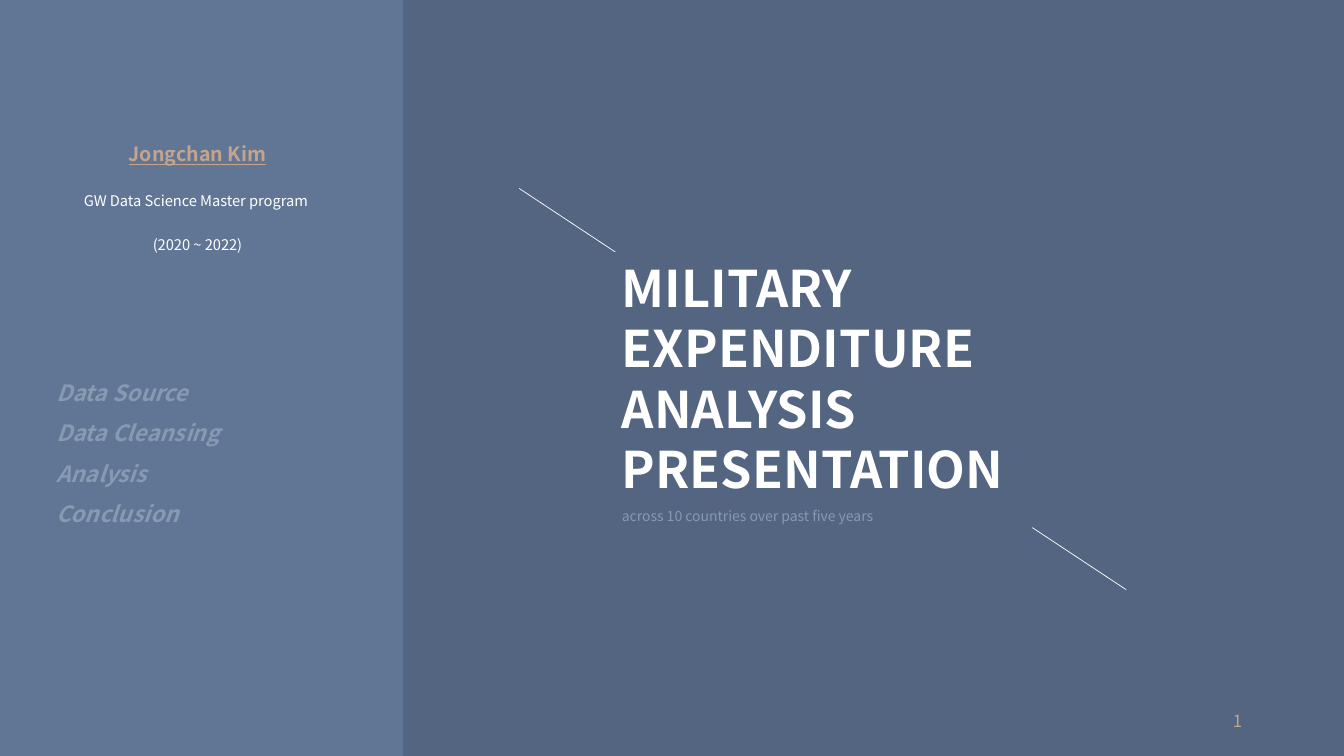
"""Build the title slide of a military expenditure analysis presentation."""
import pptx
import pptx.dml.color
import pptx.enum.shapes
import pptx.enum.text
import pptx.oxml
import pptx.oxml.ns
import pptx.util

PX = 9144
FONT = "Noto Sans CJK KR"
COLORS = {
    "panel": "617695",
    "ground": "536580",
    "white": "FFFFFF",
    "sand": "C5A48D",
    "mist": "8899B2",
}
ALIGN = pptx.enum.text.PP_ALIGN
ANCHOR = pptx.enum.text.MSO_ANCHOR
FIT = pptx.enum.text.MSO_AUTO_SIZE


def rgb(name):
    return pptx.dml.color.RGBColor.from_string(COLORS[name])


def write(box, lines, align, anchor=ANCHOR.TOP, fit=FIT.SHAPE_TO_FIT_TEXT):
    frame = box.text_frame
    frame.word_wrap = True
    frame.auto_size = fit
    frame.vertical_anchor = anchor
    for index, (text, spacing, color, size, style) in enumerate(lines):
        para = frame.paragraphs[0] if index == 0 else frame.add_paragraph()
        para.alignment = align
        para.line_spacing = spacing
        span = para.add_run()
        span.text = text
        span.font.color.rgb = rgb(color)
        values = {"name": FONT, "size": pptx.util.Pt(size), **style}
        for key, value in values.items():
            setattr(span.font, key, value)


deck = pptx.Presentation()
deck.slide_width = 1333 * PX
deck.slide_height = 750 * PX
page = deck.slides.add_slide(deck.slide_layouts[6])

backdrop = page.background.fill
backdrop.gradient()
backdrop.gradient_angle = 0
for stop, name in zip(backdrop.gradient_stops, ("panel", "ground")):
    stop.position = 0.3
    stop.color.rgb = rgb(name)

diagonal = page.shapes.add_connector(
    pptx.enum.shapes.MSO_CONNECTOR.STRAIGHT, 515 * PX, 187 * PX, 1117 * PX, 585 * PX
)
diagonal.line.color.rgb = rgb("white")
diagonal.line.width = pptx.util.Pt(0.5)
diagonal._element.spPr.append(pptx.oxml.parse_xml(
    f'<a:effectLst {pptx.oxml.ns.nsdecls("a")}/>'
))

author = page.shapes.add_textbox(46 * PX, 124 * PX, 300 * PX, 126 * PX)
write(author, [
    ("Jongchan Kim", 1.5, "sand", 14, {"bold": True, "underline": True}),
    ("GW Data Science Master program ", 2.5, "white", 10.5, {}),
    ("(2020 ~ 2022)", 2.5, "white", 10.5, {}),
], ALIGN.CENTER)

title = page.shapes.add_shape(
    pptx.enum.shapes.MSO_SHAPE.RECTANGLE, 607 * PX, 250 * PX, 417 * PX, 274 * PX
)
title.shadow.inherit = False
title.fill.solid()
title.fill.fore_color.rgb = rgb("ground")
title.line.fill.background()
write(title, [
    ("MILITARY EXPENDITURE ANALYSIS PRESENTATION", 1.0, "white", 36, {"bold": True}),
    ("across 10 countries over past five years", 1.5, "mist", 10, {}),
], ALIGN.LEFT)

agenda = page.shapes.add_textbox(46 * PX, 358 * PX, 300 * PX, 166 * PX)
topics = ("Data Source", "Data Cleansing", "Analysis", "Conclusion")
write(agenda, [
    (topic, 1.5, "mist", 16, {"bold": True, "italic": True}) for topic in topics
], ALIGN.LEFT)

number = page.shapes.add_textbox(942 * PX, 695 * PX, 300 * PX, 40 * PX)
write(number, [("1", 1.0, "sand", 12, {})], ALIGN.RIGHT, ANCHOR.MIDDLE, FIT.NONE)

deck.save("out.pptx")
